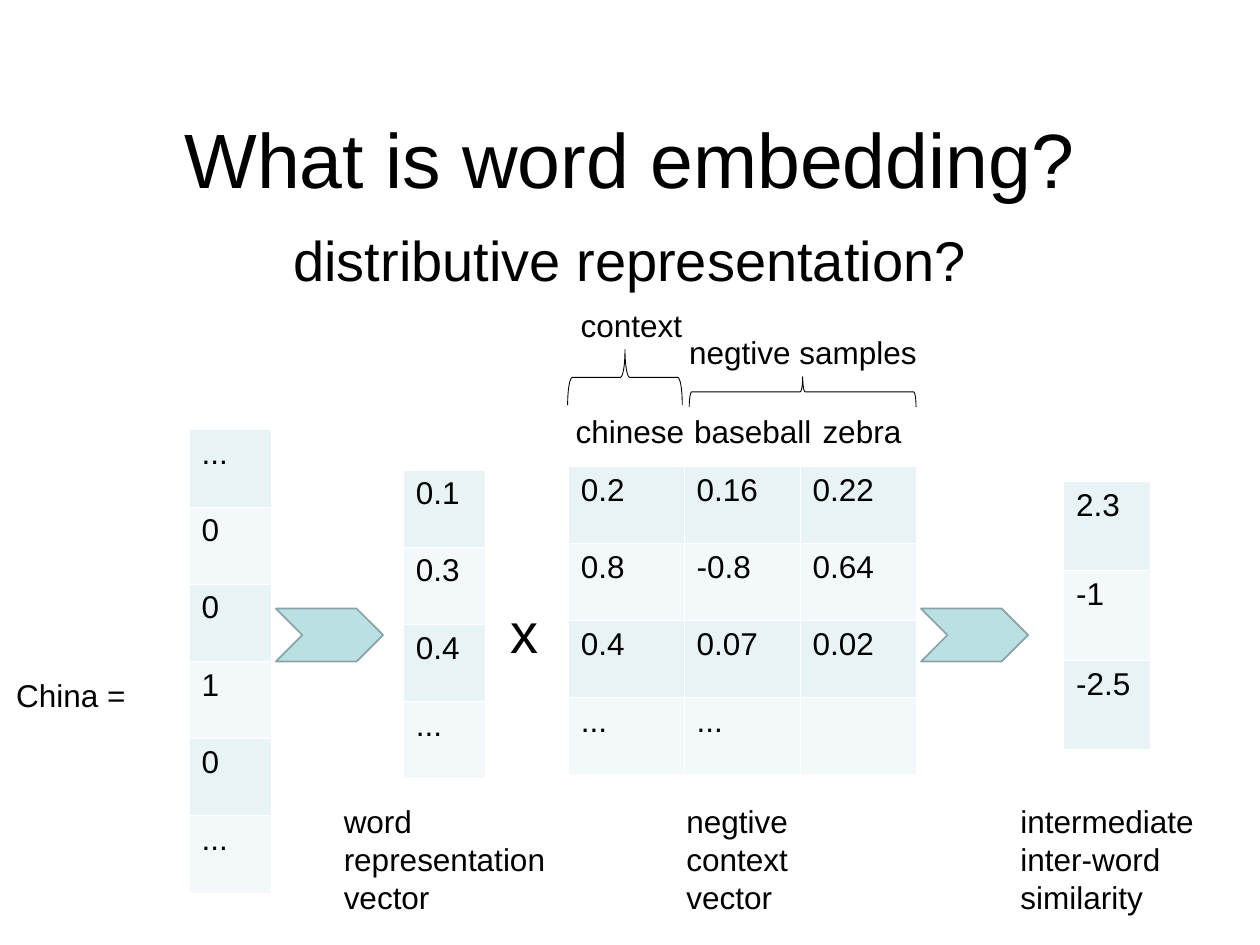
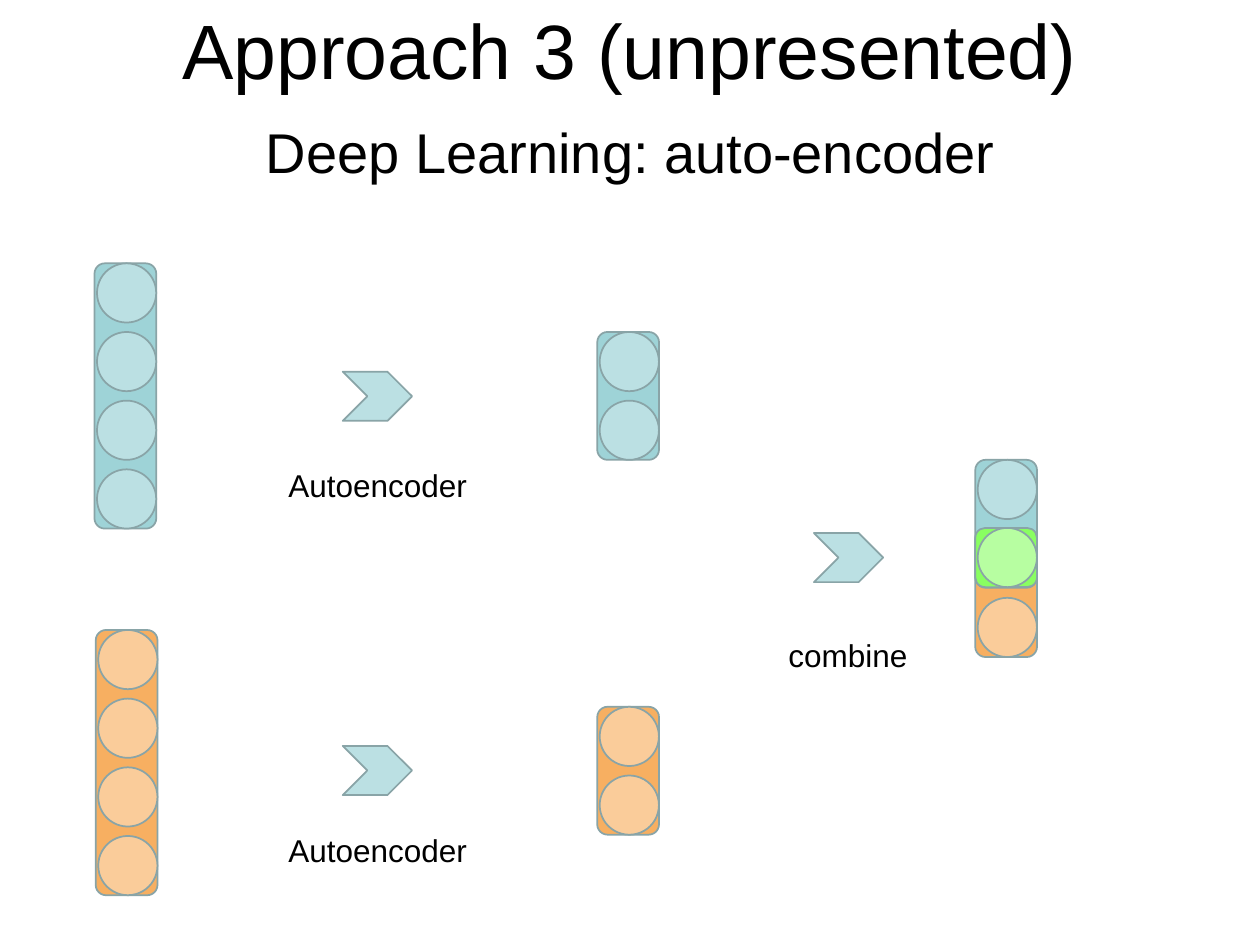
"""Build two slides on word embeddings and auto-encoders."""
from dataclasses import dataclass

from lxml import etree
from pptx import Presentation
from pptx.dml.color import RGBColor
from pptx.enum.shapes import MSO_SHAPE
from pptx.enum.text import MSO_ANCHOR, PP_ALIGN
from pptx.oxml.ns import qn
from pptx.util import Inches, Pt

CHEVRON, BRACE = MSO_SHAPE.CHEVRON, MSO_SHAPE.LEFT_BRACE
ROUNDED, OVAL = MSO_SHAPE.ROUNDED_RECTANGLE, MSO_SHAPE.OVAL
LEFT, CENTER = PP_ALIGN.LEFT, PP_ALIGN.CENTER
TOP, MIDDLE = MSO_ANCHOR.TOP, MSO_ANCHOR.MIDDLE


@dataclass(frozen=True)
class Theme:
    font: str = "Arial"
    title: int = 44
    subtitle: int = 32
    body: int = 18
    ink: str = "000000"
    white: str = "FFFFFF"
    outline: str = "89A4A7"
    bands: tuple = ("E7F3F4", "F3F9FA")
    blue: tuple = ("9ED3D7", "BBE0E3")
    orange: tuple = ("F7AF61", "FACC9A")
    green: tuple = ("89FE61", "B7FEA1")


T = Theme()
prs = Presentation()
prs.slide_width, prs.slide_height = Inches(10), Inches(7.5)
COL, ROW = prs.slide_width / 100, prs.slide_height / 75


def grid(x, y, w, h):
    return int(x * COL), int(y * ROW), int(w * COL), int(h * ROW)


def write(tf, text, size=T.body, align=LEFT, anchor=TOP, before=0):
    tf.word_wrap = True
    tf.vertical_anchor = anchor
    for i, line in enumerate(text.split("\n")):
        p = tf.paragraphs[0] if i == 0 else tf.add_paragraph()
        p.alignment = align
        p.space_before = Pt(before)
        r = p.add_run()
        r.text = line
        r.font.size, r.font.name = Pt(size), T.font
        r.font.color.rgb = RGBColor.from_string(T.ink)


headings = [
    ("What is word embedding?", 4.5, "distributive representation?", (16.3, 17.4, 67.4, 7.8)),
    ("Approach 3 (unpresented)", -4.2, "Deep Learning: auto-encoder", (13.9, 8.8, 72.3, 7.8)),
]
for title, title_row, subtitle, subtitle_box in headings:
    s = prs.slides.add_slide(prs.slide_layouts[0])
    head, sub = s.placeholders
    head.left, head.top, head.width, head.height = grid(7.5, title_row, 85, 16.1)
    write(head.text_frame, title, size=T.title, align=CENTER, anchor=MIDDLE)
    sub.left, sub.top, sub.width, sub.height = grid(*subtitle_box)
    write(sub.text_frame, subtitle, size=T.subtitle, align=CENTER, before=8)
embedding, autoencoder = prs.slides

vectors = [
    ((15, 34.1, 6.5, 36.8), [["..."], ["0"], ["0"], ["1"], ["0"], ["..."]]),
    ((32, 37.3, 6.5, 24.5), [["0.1"], ["0.3"], ["0.4"], ["..."]]),
    ((45.1, 37, 27.6, 24.5), [["0.2", "0.16", "0.22"], ["0.8", "-0.8", "0.64"],
                              ["0.4", "0.07", "0.02"], ["...", "...", ""]]),
    ((84.4, 38.2, 6.9, 21.3), [["2.3"], ["-1"], ["-2.5"]]),
]
for box, values in vectors:
    table = embedding.shapes.add_table(len(values), len(values[0]), *grid(*box)).table
    table.first_row = table.horz_banding = False
    for i, row in enumerate(values):
        for j, value in enumerate(row):
            cell = table.cell(i, j)
            tcPr = cell._tc.get_or_add_tcPr()
            for side in ("a:lnL", "a:lnR", "a:lnT", "a:lnB"):
                ln = etree.SubElement(tcPr, qn(side), w=str(Pt(0.45)))
                fill = etree.SubElement(ln, qn("a:solidFill"))
                etree.SubElement(fill, qn("a:srgbClr"), val=T.white)
            cell.fill.solid()
            cell.fill.fore_color.rgb = RGBColor.from_string(T.bands[i % 2])
            if value:
                write(cell.text_frame, value)

labels = [
    (embedding, "China =", (0.3, 53.2, 11.5, 4), T.body),
    (embedding, "x", (39.5, 46.9, 5.2, 6.4), T.subtitle),
    (embedding, "word\nrepresentation\nvector", (26.3, 63.2, 18.5, 10), T.body),
    (embedding, "negtive\ncontext\nvector", (53.5, 63.2, 11, 10), T.body),
    (embedding, "intermediate\ninter-word\nsimilarity", (80, 63.2, 16.5, 10), T.body),
    (embedding, "chinese", (44.7, 32.2, 11.5, 4), T.body),
    (embedding, "baseball", (54.1, 32.2, 12.5, 4), T.body),
    (embedding, "zebra", (64.3, 32.2, 9, 4), T.body),
    (embedding, "context", (45.1, 23.8, 10.5, 4), T.body),
    (embedding, "negtive samples", (53.7, 25.9, 20.5, 4), T.body),
    (autoencoder, "Autoencoder", (21.9, 36.5, 16.7, 4), T.body),
    (autoencoder, "Autoencoder", (21.9, 65.5, 16.7, 4), T.body),
    (autoencoder, "combine", (61.6, 50, 12, 4), T.body),
]
for s, text, box, size in labels:
    write(s.shapes.add_textbox(*grid(*box)).text_frame, text, size=size)

figures = [(embedding, CHEVRON, (x, 48.3, 8.5, 4.2), T.blue[1]) for x in (21.9, 73.1)]
figures += [(embedding, BRACE, box, None)
            for box in ((62.5, 22.1, 2.4, 18), (47.4, 25.4, 4.4, 9.1))]
figures += [(autoencoder, CHEVRON, (x, y, 5.5, 3.9), T.blue[1])
            for x, y in ((27.2, 29.5), (27.2, 59.2), (64.6, 42.3))]

UNIT, PITCH, STACK_WIDTH = 4.7, 5.45, 4.9
stacks = [
    (7.5, 20.9, 4, range(4), T.blue),
    (7.6, 50, 4, range(4), T.orange),
    (47.4, 26.35, 2, range(2), T.blue),
    (47.4, 56.1, 2, range(2), T.orange),
    (77.4, 42, 2, [1], T.orange),
    (77.4, 36.5, 2, [0], T.blue),
    (77.4, 41.9, 1, [0], T.green),
]
for x, y, count, visible, (back, front) in stacks:
    height = (count - 1) * PITCH + UNIT
    figures.append((autoencoder, ROUNDED, (x, y, STACK_WIDTH, height), back))
    figures += [(autoencoder, OVAL, (x + STACK_WIDTH - UNIT, y + k * PITCH, UNIT, UNIT), front)
                for k in visible]

for s, kind, box, color in figures:
    sp = s.shapes.add_shape(kind, *grid(*box))
    sp.shadow.inherit = False
    if kind == BRACE:
        sp.rotation = 90
        sp.fill.background()
    else:
        sp.fill.solid()
        sp.fill.fore_color.rgb = RGBColor.from_string(color)
    sp.line.color.rgb = RGBColor.from_string(T.ink if kind == BRACE else T.outline)
    sp.line.width = Pt(0.5 if kind == BRACE else 1)

prs.save("out.pptx")
